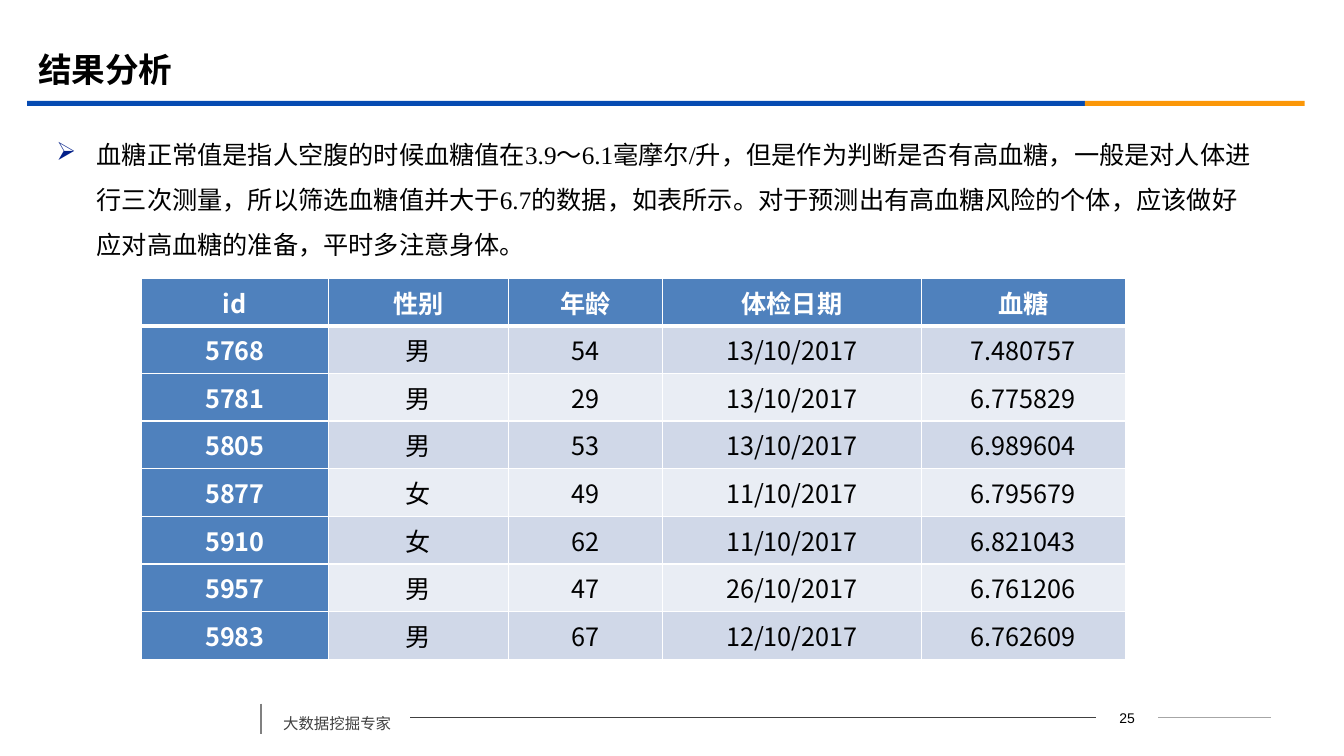
from lxml import etree
from pptx import Presentation
from pptx.dml.color import RGBColor
from pptx.enum.shapes import MSO_CONNECTOR, MSO_SHAPE
from pptx.enum.text import MSO_ANCHOR, PP_ALIGN
from pptx.oxml.ns import qn
from pptx.util import Inches, Pt

LINE, RECT = MSO_CONNECTOR.STRAIGHT, MSO_SHAPE.RECTANGLE
MIDDLE, CENTER, LEFT = MSO_ANCHOR.MIDDLE, PP_ALIGN.CENTER, PP_ALIGN.LEFT
SANS, SERIF = "Noto Sans CJK SC", "Times New Roman"
BLUE, ORANGE, HEAD = "064BB2", "FB9708", "4F81BD"
BANDS = ["D0D8E8", "E9EDF4"]


def rgb(code):
    return RGBColor.from_string(code)


def write(frame, text, size=18, font=SANS, color="000000", bold=False,
          align=LEFT, gap=1, before=0):
    """Fill the first paragraph of a text frame and return it."""
    frame.word_wrap = True
    para = frame.paragraphs[0]
    para.alignment, para.line_spacing = align, gap
    para.space_before = Pt(before)
    run = para.add_run()
    run.text = text
    run.font.size, run.font.name, run.font.bold = Pt(size), font, bold
    run.font.color.rgb = rgb(color)
    east = etree.SubElement(run._r.get_or_add_rPr(), qn("a:ea"))
    east.set("typeface", SANS)
    return para


deck = Presentation()
deck.slide_width, deck.slide_height = Inches(13.33), Inches(7.5)
slide = deck.slides.add_slide(deck.slide_layouts[6])
shapes = slide.shapes

# Two-colour rule under the title
for left, width, color in [(0.27, 10.49, BLUE), (10.76, 2.18, ORANGE)]:
    bar = shapes.add_shape(RECT, Inches(left), Inches(1), Inches(width), Inches(0.05))
    bar.shadow.inherit = False
    bar.fill.solid()
    bar.fill.fore_color.rgb = rgb(color)
    bar.line.fill.background()

# Footer lines
for x1, y1, x2, y2, color, weight in [
    (2.59, 6.98, 2.59, 7.28, "808080", 1.25),
    (4.07, 7.12, 10.87, 7.12, "404040", 0.75),
    (11.49, 7.12, 12.61, 7.12, "A6A6A6", 0.75),
]:
    rule = shapes.add_connector(LINE, Inches(x1), Inches(y1), Inches(x2), Inches(y2))
    rule.line.color.rgb = rgb(color)
    rule.line.width = Pt(weight)
    etree.SubElement(rule._element.spPr, qn("a:effectLst"))

# Title, body and footer text
body = ("血糖正常值是指人空腹的时候血糖值在3.9～6.1毫摩尔/升，但是作为判断是否有高血糖，"
        "一般是对人体进行三次测量，所以筛选血糖值并大于6.7的数据，如表所示。"
        "对于预测出有高血糖风险的个体，应该做好应对高血糖的准备，平时多注意身体。")
paras = []
for box, text, style in [
    ((0.28, 0.39, 12, 0.58), "结果分析", dict(size=24, font=SERIF, bold=True)),
    ((0.46, 1.18, 12.15, 1.5), body, dict(font=SERIF, gap=1.5, before=3.6)),
    ((2.71, 6.94, 1.36, 0.38), "大数据挖掘专家",
     dict(size=11, color="404040", gap=1.5, before=6)),
    ((10.87, 6.99, 0.62, 0.25), "25", dict(size=10, font="Arial", align=CENTER)),
]:
    frame = shapes.add_textbox(*map(Inches, box)).text_frame
    paras.append(write(frame, text, **style))
    if text == "结果分析":
        frame.vertical_anchor = MIDDLE

# Arrow bullet with a hanging indent
props = paras[1]._p.get_or_add_pPr()
props.set("marL", str(Inches(0.4)))
props.set("indent", str(Inches(-0.4)))
tint = etree.SubElement(props, qn("a:buClr"))
etree.SubElement(tint, qn("a:srgbClr")).set("val", "032089")
etree.SubElement(props, qn("a:buChar")).set("char", "➢")

# Table of high readings
rows = [
    ("id", "性别", "年龄", "体检日期", "血糖"),
    ("5768", "男", "54", "13/10/2017", "7.480757"),
    ("5781", "男", "29", "13/10/2017", "6.775829"),
    ("5805", "男", "53", "13/10/2017", "6.989604"),
    ("5877", "女", "49", "11/10/2017", "6.795679"),
    ("5910", "女", "62", "11/10/2017", "6.821043"),
    ("5957", "男", "47", "26/10/2017", "6.761206"),
    ("5983", "男", "67", "12/10/2017", "6.762609"),
]
widths = [1.86, 1.78, 1.53, 2.57, 2.02]
table = shapes.add_table(len(rows), len(widths), Inches(1.4), Inches(2.76),
                         Inches(sum(widths)), Inches(3.78)).table
table.first_col = True
for col, width in zip(table.columns, widths):
    col.width = Inches(width)
for r, row in enumerate(rows):
    for c, text in enumerate(row):
        cell = table.cell(r, c)
        head = r == 0 or c == 0
        cell.fill.solid()
        cell.fill.fore_color.rgb = rgb(HEAD if head else BANDS[(r - 1) % 2])
        cell.vertical_anchor = MIDDLE
        cell.margin_left = cell.margin_right = Inches(0.07)
        cell.margin_top = cell.margin_bottom = 0
        write(cell.text_frame, text, color="FFFFFF" if head else "000000",
              bold=head, align=CENTER)
        for i, side in enumerate("LRTB"):
            thick = (r, side) in [(0, "B"), (1, "T")]
            edge = etree.Element(qn("a:ln" + side), w=str(Pt(3 if thick else 1)))
            paint = etree.SubElement(edge, qn("a:solidFill"))
            etree.SubElement(paint, qn("a:srgbClr")).set("val", "FFFFFF")
            cell._tc.tcPr.insert(i, edge)

deck.save("out.pptx")
